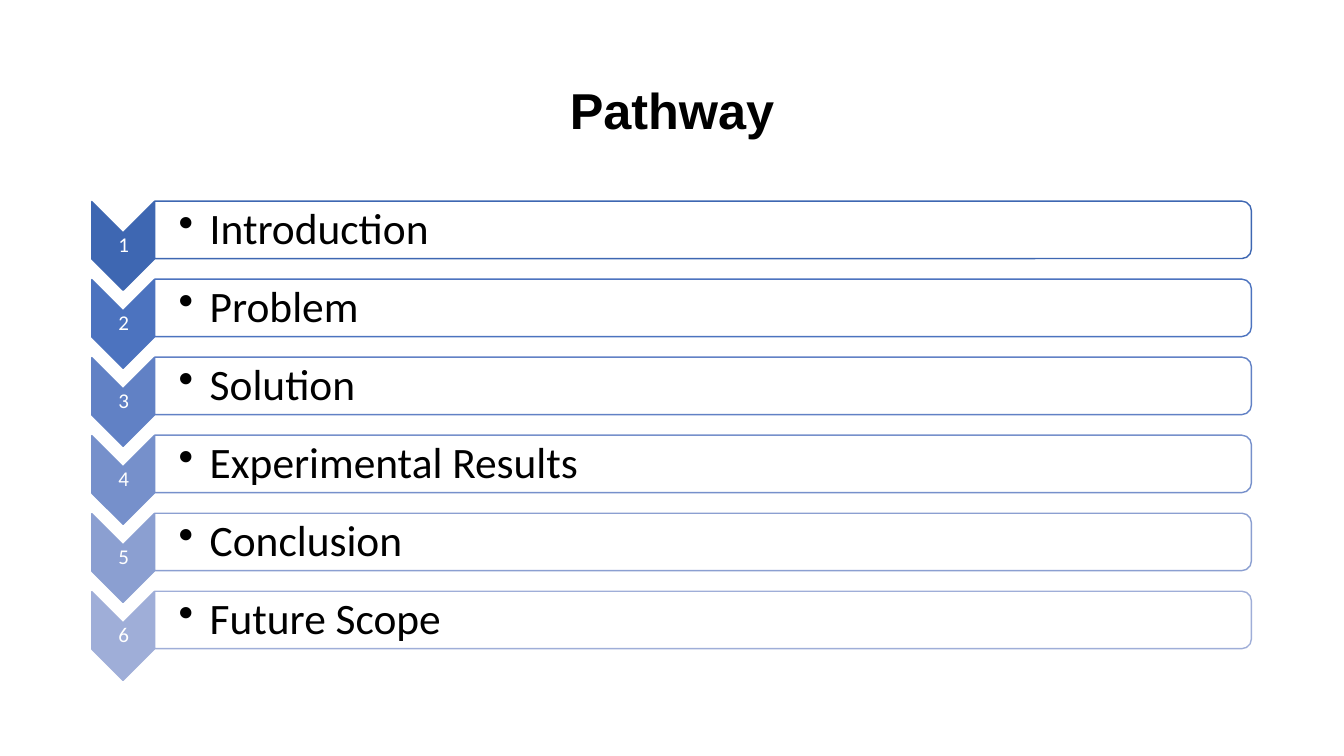
from dataclasses import dataclass

from lxml import etree
from pptx import Presentation
from pptx import util as u
from pptx.dml.color import RGBColor
from pptx.enum import shapes, text
from pptx.oxml import ns

WIDE, HIGH = u.Inches(13.33), u.Inches(7.5)
HUES = {"ink": "000000", "paper": "FFFFFF",
        "one": "3E67B2", "two": "4C73BF", "three": "6181C5",
        "four": "7690CB", "five": "8B9FD1", "six": "9FAED8"}


@dataclass(frozen=True)
class Box:
    """Place and size as percentages of the slide's width and height."""
    x: float
    y: float
    w: float
    h: float

    def down(self, gap: float) -> "Box":
        return Box(self.x, self.y + gap, self.w, self.h)

    def frame(self) -> tuple[int, int, int, int]:
        return (int(WIDE * self.x / 100), int(HIGH * self.y / 100),
                int(WIDE * self.w / 100), int(HIGH * self.h / 100))


@dataclass(frozen=True)
class Step:
    name: str
    hue: str


# Layout of the first step; the others follow at an equal pitch
TITLE = Box(6.88, 5.32, 86.25, 19.33)
ARROW = Box(6.83, 26.66, 4.65, 11.73)
DIGIT = Box(6.88, 30.75, 4.65, 3.47)
BAR = Box(11.51, 26.61, 81.6, 7.6)
LABEL = Box(11.48, 27.02, 81.4, 6.93)
PITCH = 10.32

STEPS = [Step("Introduction", "one"), Step("Problem", "two"),
         Step("Solution", "three"), Step("Experimental Results", "four"),
         Step("Conclusion", "five"), Step("Future Scope", "six")]


def color(hue: str) -> RGBColor:
    return RGBColor.from_string(HUES[hue])


def write(frame, words: str, *, size: float, font: str = "Calibri",
          hue: str = "ink", bold: bool = False, center: bool = False,
          bullet: bool = False, left: float = 0.01, pad: float = 0.01) -> None:
    """Fill a text frame with one formatted paragraph."""
    frame.word_wrap = True
    frame.vertical_anchor = text.MSO_ANCHOR.MIDDLE
    frame.margin_left = u.Inches(left)
    frame.margin_right = frame.margin_top = frame.margin_bottom = u.Inches(pad)
    para = frame.paragraphs[0]
    para.text = words
    para.line_spacing = 0.9
    para.alignment = text.PP_ALIGN.CENTER if center else text.PP_ALIGN.LEFT
    if bullet:
        props = para._p.get_or_add_pPr()
        props.set("marL", str(u.Inches(0.31)))
        props.set("indent", str(-u.Inches(0.31)))
        etree.SubElement(props, ns.qn("a:buChar")).set("char", "•")
    face = para.runs[0].font
    face.name, face.size, face.bold = font, u.Pt(size), bold
    face.color.rgb = color(hue)


def turn(slide, kind, box: Box, fill: str, line: str):
    """Draw a shape turned a quarter so that it covers the given box."""
    x, y, w, h = box.frame()
    shape = slide.shapes.add_shape(
        kind, x + (w - h) // 2, y + (h - w) // 2, h, w)
    shape.rotation = 90
    shape.shadow.inherit = False
    shape.fill.solid()
    shape.fill.fore_color.rgb = color(fill)
    shape.line.color.rgb = color(line)
    shape.line.width = u.Pt(1)
    return shape


def draw(slide, index: int, step: Step) -> None:
    """Draw one numbered arrow with its labelled bar."""
    gap = index * PITCH
    kind = shapes.MSO_SHAPE
    turn(slide, kind.CHEVRON, ARROW.down(gap), step.hue, step.hue)
    digit = slide.shapes.add_textbox(*DIGIT.down(gap).frame())
    write(digit.text_frame, str(index + 1), size=15, hue="paper", center=True)

    bar = turn(slide, kind.ROUND_2_SAME_RECTANGLE, BAR.down(gap),
               "paper", step.hue)
    tint = bar._element.spPr.find(
        f"{ns.qn('a:solidFill')}/{ns.qn('a:srgbClr')}")
    etree.SubElement(tint, ns.qn("a:alpha")).set("val", "90000")
    label = slide.shapes.add_textbox(*LABEL.down(gap).frame())
    write(label.text_frame, step.name, size=31, bullet=True,
          left=0.24, pad=0.02)


def main() -> None:
    deck = Presentation()
    deck.slide_width, deck.slide_height = WIDE, HIGH
    slide = deck.slides.add_slide(deck.slide_layouts.get_by_name("Title Only"))

    # Title
    title = slide.shapes.title
    title.left, title.top, title.width, title.height = TITLE.frame()
    write(title.text_frame, "Pathway", size=36, font="Arial", bold=True,
          center=True, left=0.1, pad=0.1)

    # Steps
    for index, step in enumerate(STEPS):
        draw(slide, index, step)

    deck.save("out.pptx")


if __name__ == "__main__":
    main()
